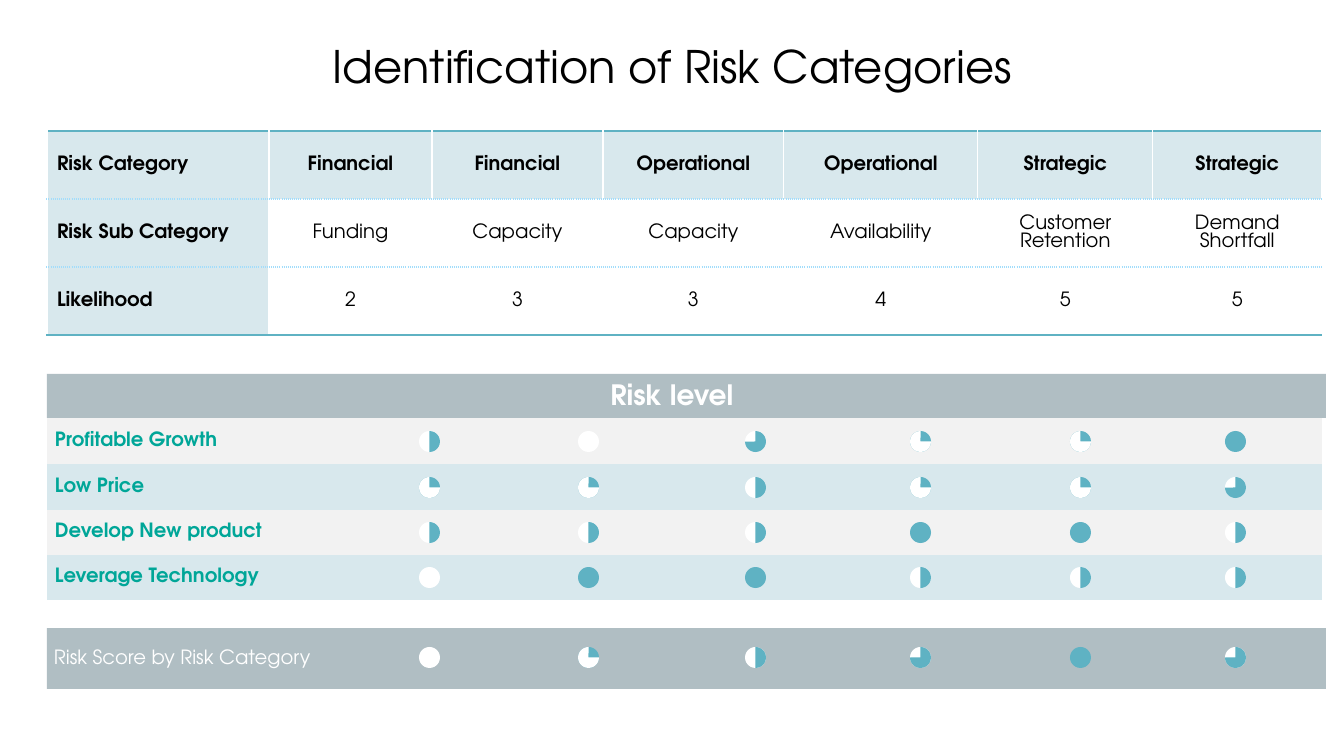
from lxml import etree
from pptx import Presentation
from pptx import util as u
from pptx.dml.color import RGBColor
from pptx.enum import shapes, text
from pptx.oxml.ns import qn

FONT = "TeX Gyre Adventor"
HEX = {"black": "000000", "white": "FFFFFF", "pale": "D8E8ED", "light": "F2F2F2",
       "band": "B0BEC3", "blue": "5FB2C3", "sky": "A2DDFB", "green": "00A698"}
NO_STYLE = "{2D5ABB26-0587-4C30-8999-92F81FD0307C}"

RISKS = [
    ["Risk Category", "Financial", "Financial", "Operational", "Operational",
     "Strategic", "Strategic"],
    ["Risk Sub Category", "Funding", "Capacity", "Capacity", "Availability",
     "Customer Retention", "Demand Shortfall"],
    ["Likelihood", "2", "3", "3", "4", "5", "5"],
]
RISK_COLS = [222, 163, 171, 181, 194, 175, 169]
RISK_ROWS = [68, 68, 68]

# Quarters filled in each disc, by goal and risk column
LEVELS = [
    ("Profitable Growth", [2, 0, 3, 1, 1, 4]),
    ("Low Price", [1, 1, 2, 1, 1, 3]),
    ("Develop New product", [2, 2, 2, 4, 4, 2]),
    ("Leverage Technology", [0, 4, 4, 2, 2, 2]),
]
SCORE = ("Risk Score by Risk Category", [0, 1, 2, 3, 4, 3])
LEVEL_COLS = [303] + [162] * 6
LEVEL_ROWS = [46, 46, 45, 45]
DISC_X = [419, 578, 745, 910, 1070, 1225]
DISC_Y = [431, 477, 522, 567, 647]
DISC = 21
LEFT, BAND_W = 47, 1279


def px(n):
    return u.Emu(round(n * 914400 / 100.8))


def rgb(name):
    return RGBColor.from_string(HEX[name])


def style(para, size, color, bold=False, align=text.PP_ALIGN.LEFT):
    para.alignment = align
    for run in para.runs:
        font = run.font
        font.name, font.size, font.bold = FONT, u.Pt(size), bold
        font.color.rgb = rgb(color)


def shape(owner, kind, box, color):
    part = owner.add_shape(kind, *map(px, box))
    part.shadow.inherit = False
    part.fill.solid()
    part.fill.fore_color.rgb = rgb(color)
    part.line.fill.background()
    return part


def label(owner, words, box, size, color, bold=False, align=text.PP_ALIGN.LEFT):
    frame = owner.add_textbox(*map(px, box)).text_frame
    frame.word_wrap = True
    frame.vertical_anchor = text.MSO_ANCHOR.MIDDLE
    frame.text = words
    style(frame.paragraphs[0], size, color, bold, align)


def disc(owner, x, y, count):
    """Draw a disc with the given number of quarters in blue."""
    box = (x, y, DISC, DISC)
    oval, pie = shapes.MSO_SHAPE.OVAL, shapes.MSO_SHAPE.PIE
    if count in (0, 4):
        shape(owner, oval, box, "blue" if count else "white")
        return
    group = owner.add_group_shape().shapes
    # One quarter is a blue disc under a white three-quarter pie
    under, over = ("blue", "white") if count == 1 else ("white", "blue")
    start, end = (0, 162) if count == 1 else (162, 54 * (count - 1))
    shape(group, oval, box, under)
    wedge = shape(group, pie, box, over)
    wedge.adjustments[0], wedge.adjustments[1] = start, end


def table(owner, top, cols, rows):
    frame = owner.add_table(len(rows), len(cols), px(LEFT), px(top),
                            px(sum(cols)), px(sum(rows)))
    for tag in frame.element.iter(qn("a:tableStyleId")):
        tag.text = NO_STYLE
    grid = frame.table
    for col, wide in zip(grid.columns, cols):
        col.width = px(wide)
    for row, high in zip(grid.rows, rows):
        row.height = px(high)
    return grid


def paint(cell, color):
    if color:
        cell.fill.solid()
        cell.fill.fore_color.rgb = rgb(color)
    else:
        cell.fill.background()


def edge(cell, side, color, dash="solid"):
    line = etree.SubElement(cell._tc.get_or_add_tcPr(), qn("a:ln" + side), w="12700")
    fill = etree.SubElement(line, qn("a:solidFill"))
    etree.SubElement(fill, qn("a:srgbClr"), val=HEX[color])
    etree.SubElement(line, qn("a:prstDash"), val=dash)


def risks(owner):
    grid = table(owner, 131, RISK_COLS, RISK_ROWS)
    last = len(RISKS) - 1
    dots, solid = ("sky", "sysDot"), ("blue", "solid")
    for r, row in enumerate(RISKS):
        for c, words in enumerate(row):
            cell = grid.cell(r, c)
            head = r == 0 or c == 0
            edge(cell, "L", "white")
            edge(cell, "R", "white")
            edge(cell, "T", *(dots if r else solid))
            edge(cell, "B", *(solid if r == last else dots))
            paint(cell, "pale" if head else None)
            cell.vertical_anchor = text.MSO_ANCHOR.MIDDLE
            cell.text = words
            align = text.PP_ALIGN.CENTER if c else text.PP_ALIGN.LEFT
            style(cell.text_frame.paragraphs[0], 14, "black", head, align)


def levels(owner):
    grid = table(owner, 418, LEVEL_COLS, LEVEL_ROWS)
    for r, (goal, _) in enumerate(LEVELS):
        for c in range(len(LEVEL_COLS)):
            paint(grid.cell(r, c), "pale" if r % 2 else "light")
        cell = grid.cell(r, 0)
        cell.vertical_anchor = text.MSO_ANCHOR.MIDDLE
        cell.margin_left = cell.margin_right = px(8)
        cell.margin_top = cell.margin_bottom = px(4)
        cell.text = goal
        style(cell.text_frame.paragraphs[0], 14, "green", True)


def main():
    deck = Presentation()
    deck.slide_width, deck.slide_height = px(1344), px(756)
    items = deck.slides.add_slide(deck.slide_layouts[6]).shapes
    mid = text.PP_ALIGN.CENTER
    rect = shapes.MSO_SHAPE.RECTANGLE

    label(items, "Identification of Risk Categories", (297, 25, 751, 81), 32,
          "black", align=mid)
    risks(items)
    shape(items, rect, (LEFT, 374, BAND_W, 44), "band")
    label(items, "Risk level", (410, 372, 524, 44), 20, "white", True, mid)
    levels(items)
    shape(items, rect, (LEFT, 628, BAND_W, 61), "band")
    label(items, SCORE[0], (44, 640, 351, 34), 14, "white")
    for y, (_, counts) in zip(DISC_Y, LEVELS + [SCORE]):
        for x, count in zip(DISC_X, counts):
            disc(items, x, y, count)
    deck.save("out.pptx")


if __name__ == "__main__":
    main()
